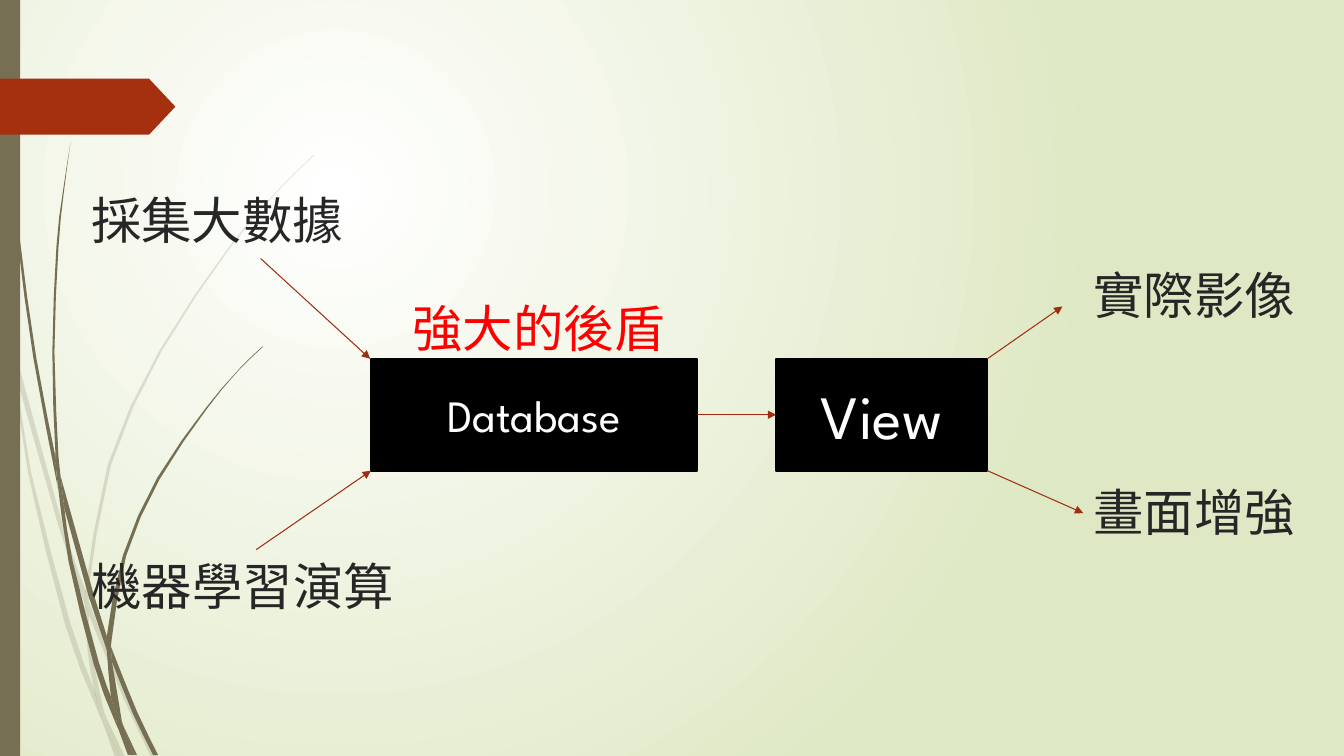
from dataclasses import dataclass

from lxml.etree import SubElement
from pptx import Presentation
from pptx.dml.color import RGBColor
from pptx.enum.shapes import MSO_CONNECTOR, MSO_SHAPE
from pptx.enum.text import MSO_ANCHOR, PP_ALIGN
from pptx.oxml.ns import qn
from pptx.util import Pt


@dataclass(frozen=True)
class Theme:
    olive: str = "766F54"
    rust: str = "A53010"
    arrow: str = "9E2E0F"
    ink: str = "262626"
    red: str = "FF0000"
    black: str = "000000"
    white: str = "FFFFFF"
    pale_green: str = "DFE8C4"
    box_font: str = "League Spartan"
    caption_font: str = "Noto Sans CJK SC"
    view_size: int = 44
    database_size: int = 32
    caption_size: int = 36


THEME = Theme()
BOX_TOP, BOX_HEIGHT = 256.3, 79.9
BOX_BOTTOM = BOX_TOP + BOX_HEIGHT
DATABASE_LEFT, DATABASE_WIDTH = 265, 232.8
VIEW_LEFT, VIEW_WIDTH = 554.4, 150.9
VIEW_RIGHT = VIEW_LEFT + VIEW_WIDTH
CAPTION_HEIGHT = 52.6

# Each piece of a grass blade: the edge going down, then the edge going back up.
FAINT_GRASS = [
    ([(0, 203), (6.5, 231.8), (7.9, 252)], [(7.2, 247.7), (0, 215.3)]),
    ([(10.1, 248.4), (44.6, 374.4), (61.2, 421.9)],
     [(60.5, 431.3), (41.8, 375.8), (12.2, 270.7)]),
    ([(63.4, 429.1), (66.2, 437), (91.4, 498.2), (111.6, 540.7)],
     [(108, 540.7), (88.6, 499.7), (63.4, 439.2)]),
    ([(75.6, 511.9), (89.3, 540.7)], [(85.7, 540.7)]),
    ([(7.9, 252), (20.2, 338.4), (46.8, 447.1), (66.2, 499), (72.7, 514.1)],
     [(71.3, 509), (67, 491.8), (50.4, 445.7), (22.3, 337.7), (12.2, 270.7)]),
    ([(60.5, 431.3), (62.6, 465.1), (67, 491.8), (69.1, 498.2), (75.6, 511.9)],
     [(74.2, 508.3), (65.5, 465.1), (63.4, 439.2), (63.4, 437.8)]),
    ([(224.6, 110.2), (208.1, 126), (193, 141.8), (164.2, 175.7), (113.8, 250.6),
      (77, 331.9), (61.2, 420.5), (61.2, 421.9), (63.4, 429.1)],
     [(63.4, 420.5), (79.2, 332.6), (115.2, 251.3), (164.9, 176.4), (193, 142.6),
      (208.8, 126), (224.6, 110.9)]),
    ([(72.7, 514.1), (82.1, 540.7)], [(85.7, 540.7)]),
    ([(61.2, 421.9), (60.5, 431.3), (63.4, 437.8)], [(63.4, 439.2), (63.4, 429.1)]),
    ([(67, 491.8), (71.3, 509), (72.7, 514.1), (85.7, 540.7)],
     [(75.6, 511.9), (69.1, 498.2)]),
]
SOLID_GRASS = [
    ([(2.2, 0), (2.9, 34.6), (5, 79.2), (12.2, 167.8), (23.8, 255.6), (40.3, 343.4),
      (41, 346.3)],
     [(39.6, 329), (39.6, 326.2), (25.9, 255.6), (13.7, 167), (5.8, 78.5),
      (3.6, 34.6), (2.9, 0)]),
    ([(43.2, 339.8), (67, 424.8), (76.3, 454.3), (76.3, 464.4)],
     [(63.4, 426.2), (46.1, 363.6)]),
    ([(79.2, 461.5), (81.4, 467.3), (97.9, 508.3), (113, 539.3)],
     [(109.4, 539.3), (95, 509.8), (79.9, 472.3)]),
    ([(41, 343.4), (49, 401), (67, 474.5), (79.9, 509.8), (84.2, 519.8)],
     [(83.5, 516.2), (79.2, 497.5), (70.6, 473), (51.8, 400.3), (46.1, 363.6)]),
    ([(50.4, 101.5), (44.6, 139), (40.3, 176.4), (37.4, 251.3), (39.6, 323.3),
      (43.2, 339.8)],
     [(41.8, 326.2), (38.9, 251.3), (41.8, 176.4), (45.4, 139), (50.4, 101.5)]),
    ([(87.8, 517.7), (97.9, 539.3)], [(95.8, 539.3)]),
    ([(39.6, 323.3), (39.6, 326.2), (41, 343.4), (46.1, 363.6)], [(43.2, 339.8)]),
    ([(187.2, 247.7), (176.4, 257.8), (166.3, 268.6), (146.9, 291.6), (112.3, 341.3),
      (87.8, 396.7), (76.3, 454.3), (79.2, 461.5)],
     [(79.9, 455.8), (90, 397.4), (113.8, 342.7), (147.6, 292.3), (166.3, 269.3),
      (176.4, 258.5), (187.9, 247.7)]),
    ([(84.2, 519.8), (91.4, 539.3)], [(94.3, 539.3)]),
    ([(76.3, 464.4), (79.2, 497.5), (83.5, 508.3), (87.8, 517.7)],
     [(87.1, 515.5), (79.9, 472.3), (78.5, 468.7)]),
    ([(76.3, 454.3), (76.3, 464.4), (78.5, 468.7), (79.9, 472.3)], [(79.2, 461.5)]),
    ([(79.2, 497.5), (83.5, 516.2), (84.2, 519.8), (93.6, 539.3)],
     [(95.8, 539.3), (87.8, 517.7), (83.5, 508.3)]),
]


def color(code):
    return RGBColor.from_string(code)


def paint_background(page):
    fill = page.background.fill
    fill.gradient()
    for stop, position, code in zip(fill.gradient_stops, (0, 1),
                                    (THEME.white, THEME.pale_green)):
        stop.position = position
        stop.color.rgb = color(code)
    gradient = page.element.find(".//" + qn("a:gradFill"))
    gradient.remove(gradient.find(qn("a:lin")))
    circle = SubElement(gradient, qn("a:path"), path="circle")
    SubElement(circle, qn("a:fillToRect"), l="50000", t="50000", r="100000", b="100000")


def paint(shape, code):
    shape.shadow.inherit = False
    shape.fill.solid()
    shape.fill.fore_color.rgb = color(code)
    shape.line.fill.background()


def smooth(points):
    """Add the halfway points of a Catmull-Rom curve through the given points."""
    padded = [points[0], *points, points[-1]]
    curve = [points[0]]
    for a, b, c, d in zip(padded, padded[1:], padded[2:], padded[3:]):
        halfway = tuple((9 * (q + r) - p - s) / 16 for p, q, r, s in zip(a, b, c, d))
        curve += [halfway, c]
    return curve


def add_grass(page, down, up, opacity=100):
    outline = [(Pt(x), Pt(y)) for x, y in smooth(down) + smooth(up)]
    builder = page.shapes.build_freeform(*outline[0])
    builder.add_line_segments(outline[1:])
    piece = builder.convert_to_shape()
    paint(piece, THEME.olive)
    if opacity < 100:
        tint = piece.element.spPr.find(".//" + qn("a:srgbClr"))
        SubElement(tint, qn("a:alpha"), val=str(opacity * 1000))


def add_block(page, kind, left, top, width, height, code):
    block = page.shapes.add_shape(kind, Pt(left), Pt(top), Pt(width), Pt(height))
    paint(block, code)
    return block


def write(para, text, code, **format_values):
    span = para.add_run()
    span.text = text
    for name, value in format_values.items():
        setattr(span.font, name, value)
    span.font.color.rgb = color(code)
    SubElement(span.font._element, qn("a:ea"), typeface=span.font.name)


def add_stage(page, text, left, width, size):
    box = add_block(page, MSO_SHAPE.RECTANGLE, left, BOX_TOP, width, BOX_HEIGHT, THEME.black)
    box.line.color.rgb = color(THEME.black)
    box.line.width = Pt(1.25)
    box.text_frame.vertical_anchor = MSO_ANCHOR.MIDDLE
    para = box.text_frame.paragraphs[0]
    para.alignment = PP_ALIGN.CENTER
    write(para, text, THEME.white, name=THEME.box_font, size=Pt(size))
    return box


def add_caption(page, text, left, top, width, code=THEME.ink):
    box = page.shapes.add_textbox(Pt(left), Pt(top), Pt(width), Pt(CAPTION_HEIGHT))
    box.text_frame.word_wrap = True
    write(box.text_frame.paragraphs[0], text, code, name=THEME.caption_font,
          size=Pt(THEME.caption_size))


def add_arrow(page, start, end):
    arrow = page.shapes.add_connector(MSO_CONNECTOR.STRAIGHT, *map(Pt, start + end))
    arrow.line.color.rgb = color(THEME.arrow)
    arrow.line.width = Pt(0.75)
    SubElement(arrow.line._get_or_add_ln(), qn("a:tailEnd"), type="triangle")
    SubElement(arrow._element.spPr, qn("a:effectLst"))
    return arrow


def main():
    deck = Presentation()
    deck.slide_width, deck.slide_height = Pt(960), Pt(540)
    page = deck.slides.add_slide(deck.slide_layouts[6])
    paint_background(page)

    for down, up in FAINT_GRASS:
        add_grass(page, down, up, opacity=20)
    for down, up in SOLID_GRASS:
        add_grass(page, down, up)
    add_block(page, MSO_SHAPE.RECTANGLE, 0, 0, 14.4, 540, THEME.olive)
    flag = add_block(page, MSO_SHAPE.PENTAGON, 0, 56.2, 125.3, 40, THEME.rust)
    flag.adjustments[0] = 0.47

    database = add_stage(page, "Database", DATABASE_LEFT, DATABASE_WIDTH, THEME.database_size)
    view = add_stage(page, "View", VIEW_LEFT, VIEW_WIDTH, THEME.view_size)

    middle = BOX_TOP + BOX_HEIGHT / 2
    link = add_arrow(page, (DATABASE_LEFT + DATABASE_WIDTH, middle), (VIEW_LEFT, middle))
    link.begin_connect(database, 3)
    link.end_connect(view, 1)
    for start, end in [
        ((186.2, 184.7), (264.4, BOX_TOP)),
        ((182.9, 392.7), (DATABASE_LEFT, BOX_BOTTOM)),
        ((VIEW_RIGHT, BOX_TOP), (758.9, 218.9)),
        ((VIEW_RIGHT, BOX_BOTTOM), (773.8, 366.5)),
    ]:
        add_arrow(page, start, end)

    add_caption(page, "採集大數據", 58, 131.8, 197.3)
    add_caption(page, "機器學習演算", 58.3, 392.7, 257)
    add_caption(page, "強大的後盾", 287.6, 208.8, 197.3, THEME.red)
    add_caption(page, "實際影像", 774, 185, 167)
    add_caption(page, "畫面增強", 774, 339.8, 167)

    deck.save("out.pptx")


if __name__ == "__main__":
    main()
